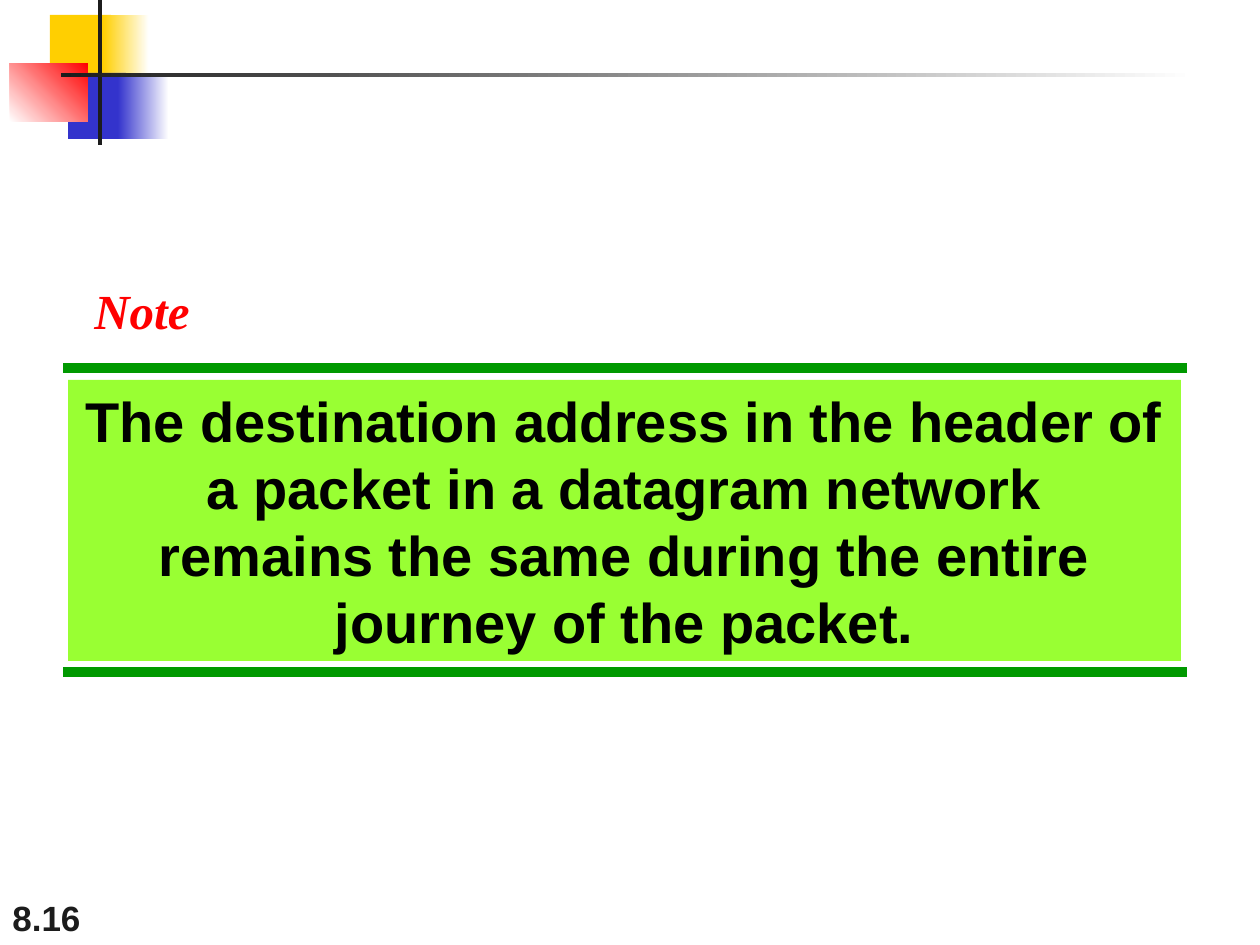
from lxml.etree import SubElement
from pptx import Presentation
from pptx.dml.color import RGBColor
from pptx.enum.shapes import MSO_CONNECTOR as Line, MSO_SHAPE as Shape
from pptx.enum.text import MSO_ANCHOR as Anchor, PP_ALIGN as Align
from pptx.oxml.ns import qn
from pptx.util import Pt

SCALE = 914400 / 126
SIZE = (1260, 945)
WHITE, BLACK, DARK, RED = "FFFFFF", "000000", "1C1C1C", "FF0000"
GOLD, BLUE, GREEN, LIME = "FFCF01", "3333CC", "009900", "99FF33"

# left, top, width, height; colours (two make a gradient); angle
DECOR = [
    ((50, 15, 61, 66), [GOLD], 0),
    ((103, 15, 46, 66), [GOLD, WHITE], 0),
    ((68, 73, 58, 66), [BLUE], 0),
    ((118, 73, 51, 66), [BLUE, WHITE], 0),
    ((10, 63, 78, 59), [WHITE, RED], 45),
    ((98, 0, 4, 145), [DARK], 0),
    ((61, 73, 1134, 4), [DARK, WHITE], 0),
]
RULES = [368, 672]
RULE_X = (63, 1187)
CLAIM = [
    "The destination address in the header of a packet in a datagram network",
    "remains the same during the entire journey of the packet.",
]


def px(*nums):
    return [round(n * SCALE) for n in nums]


def rgb(code):
    return RGBColor.from_string(code)


def block(slide, box, tones, angle=0):
    shape = slide.shapes.add_shape(Shape.RECTANGLE, *px(*box))
    shape.shadow.inherit = False
    shape.line.fill.background()
    fill = shape.fill
    if len(tones) == 1:
        fill.solid()
        fill.fore_color.rgb = rgb(tones[0])
    else:
        fill.gradient()
        fill.gradient_angle = angle
        for stop, tone in zip(fill.gradient_stops, tones):
            stop.color.rgb = rgb(tone)
    return shape


def rule(slide, y):
    left, right = RULE_X
    line = slide.shapes.add_connector(Line.STRAIGHT, *px(left, y, right, y))
    line.line.color.rgb = rgb(GREEN)
    line.line.width = Pt(6)
    SubElement(line._element.spPr, qn("a:effectLst"))


def write(shape, lines, size, tone, face="Arial", italic=False,
          align=Align.LEFT, anchor=Anchor.TOP, wrap=True):
    frame = shape.text_frame
    frame.word_wrap = wrap
    frame.vertical_anchor = anchor
    for i, text in enumerate(lines):
        para = frame.add_paragraph() if i else frame.paragraphs[0]
        para.alignment = align
        run = para.add_run()
        run.text = text
        font = run.font
        font.name, font.size = face, Pt(size)
        font.bold, font.italic = True, italic
        font.color.rgb = rgb(tone)


def main():
    deck = Presentation()
    deck.slide_width, deck.slide_height = px(*SIZE)
    slide = deck.slides.add_slide(deck.slide_layouts[6])

    page = slide.shapes.add_textbox(*px(0, 882, 262, 63))
    write(page, ["8.16"], 20, DARK, anchor=Anchor.BOTTOM)
    for box, tones, angle in DECOR:
        block(slide, box, tones, angle)
    for y in RULES:
        rule(slide, y)
    panel = block(slide, (68, 380, 1113, 281), [LIME])
    write(panel, CLAIM, 32, BLACK, align=Align.CENTER)
    note = slide.shapes.add_textbox(*px(82, 274, 121, 72))
    write(note, ["Note"], 28, RED, "Times New Roman", italic=True, wrap=False)

    deck.save("out.pptx")


if __name__ == "__main__":
    main()
